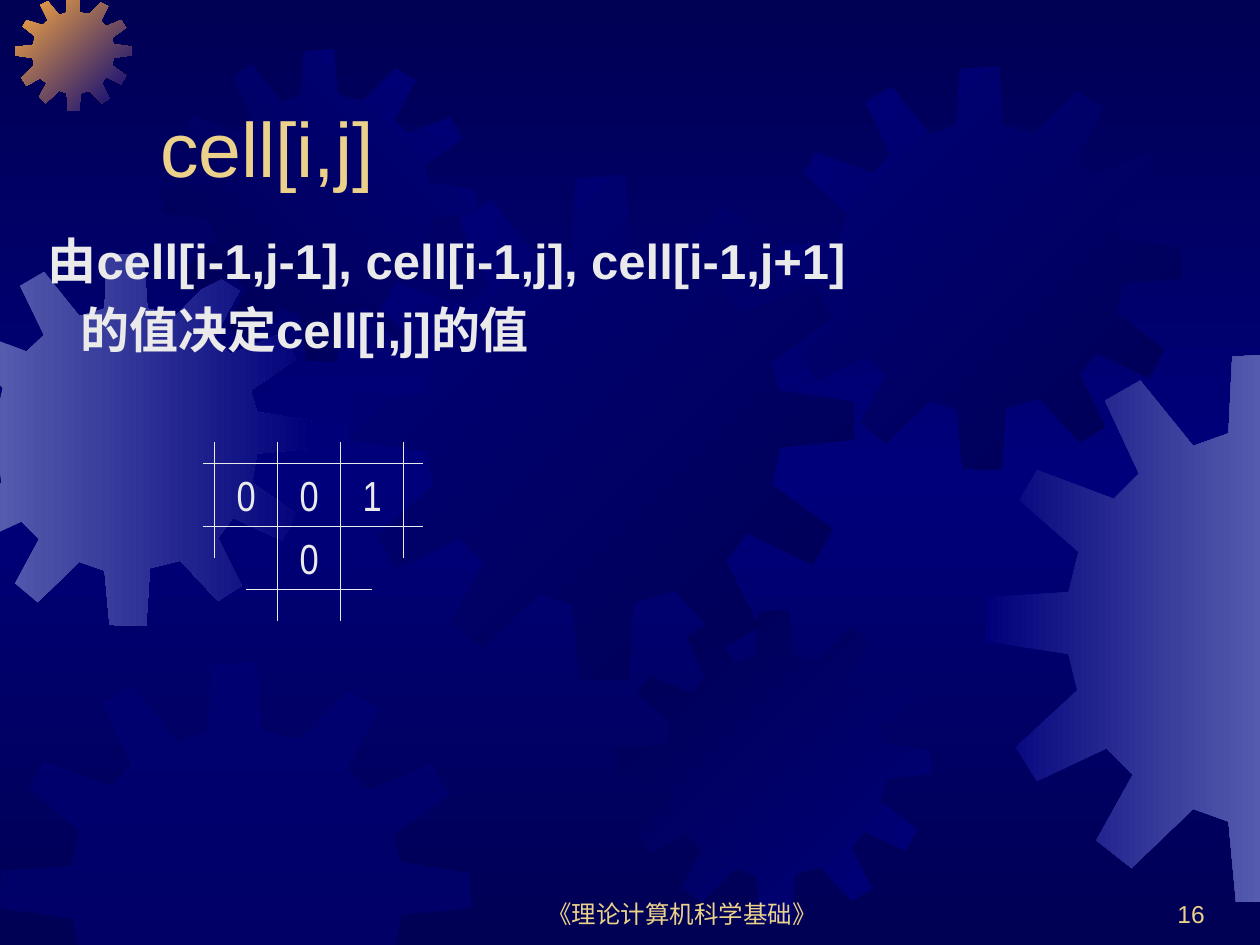
from copy import deepcopy
from lxml.etree import SubElement
from pptx import Presentation
from pptx.dml.color import RGBColor
from pptx.enum.shapes import MSO_CONNECTOR
from pptx.enum.text import MSO_ANCHOR, MSO_AUTO_SIZE, PP_ALIGN
from pptx.oxml.ns import qn
from pptx.util import Emu, Pt

PX = 9144
W, H = 1000, 750
NAVY, BLUE, LILAC, ORANGE = "000054", "00007A", "555BAD", "FCAB40"
GOLD, WHITE = "EBD189", "EAEAEA"

GEAR_SIZE = 401
GEAR = [
    (255, 67), (223, 59), (219, 0), (180, 3), (177, 59), (151, 68),
    (113, 20), (87, 35), (112, 88), (94, 106), (38, 85), (25, 107),
    (68, 145), (61, 174), (1, 178), (0, 210), (61, 219), (67, 246),
    (22, 287), (38, 312), (88, 288), (107, 307), (81, 355), (106, 375),
    (151, 332), (177, 341), (183, 400), (222, 401), (226, 339), (259, 330),
    (299, 374), (325, 358), (299, 306), (316, 284), (368, 309), (384, 281),
    (336, 246), (342, 216), (401, 210), (400, 180), (341, 171), (335, 148),
    (383, 114), (367, 87), (313, 109), (296, 91), (323, 41), (297, 25),
]
GEARS = [
    (-48, 201, 296, LILAC, BLUE, 0),
    (12, -4, 92, ORANGE, BLUE, 45),
    (130, 39, 248, NAVY, BLUE, 315),
    (277, 139, 401, BLUE, NAVY, 45),
    (0, 525, 374, BLUE, None, 0),
    (491, 484, 248, NAVY, BLUE, 45),
    (618, 53, 320, BLUE, NAVY, 45),
    (782, 280, 437, BLUE, LILAC, 0),
]


def px(n):
    return Emu(round(n * PX))


def rgb(c):
    return RGBColor.from_string(c)


def set_gradient(fill, colors, angle):
    fill.gradient()
    fill.gradient_angle = (360 - angle) % 360
    for stop, c in zip(fill.gradient_stops, colors):
        stop.color.rgb = rgb(c)


def add_background(s):
    fill = s.background.fill
    set_gradient(fill, (NAVY, BLUE), 90)
    stops = s.element.find(".//" + qn("a:gsLst"))
    last = deepcopy(stops[0])
    stops[1].set("pos", "50000")
    last.set("pos", "100000")
    stops.append(last)


def clip(points, axis, limit, sign):
    kept = []
    for a, b in zip(points[-1:] + points[:-1], points):
        a_in, b_in = (sign * (p[axis] - limit) >= 0 for p in (a, b))
        if a_in != b_in:
            t = (limit - a[axis]) / (b[axis] - a[axis])
            kept.append(tuple(u + t * (v - u) for u, v in zip(a, b)))
        if b_in:
            kept.append(b)
    return kept


def add_gear(s, x, y, size, start, end, angle):
    k = size / GEAR_SIZE
    points = [(x + k * u, y + k * v) for u, v in GEAR]
    for axis, limit, sign in ((0, 0, 1), (0, W, -1), (1, 0, 1), (1, H, -1)):
        points = clip(points, axis, limit, sign)
    points = [(round(u), round(v)) for u, v in points]
    fb = s.shapes.build_freeform(*points[0], scale=PX)
    fb.add_line_segments(points[1:], close=True)
    sp = fb.convert_to_shape()
    sp.shadow.inherit = False
    sp.line.fill.background()
    if end:
        set_gradient(sp.fill, (start, end), angle)
    else:
        sp.fill.solid()
        sp.fill.fore_color.rgb = rgb(start)
        color = sp.element.spPr.find(".//" + qn("a:srgbClr"))
        SubElement(color, qn("a:alpha")).set("val", "50000")


def add_run(p, text, size, color, font="Arial", bold=False):
    r = p.add_run()
    r.text = text
    r.font.size = Pt(size)
    r.font.name = font
    r.font.bold = bold
    r.font.color.rgb = rgb(color)


def add_box(shapes, x, y, w, h, anchor=MSO_ANCHOR.TOP):
    sp = shapes.add_textbox(px(x), px(y), px(w), px(h))
    tf = sp.text_frame
    tf.word_wrap = True
    tf.vertical_anchor = anchor
    return tf


def add_title(s, x, y, w, h):
    sp = s.shapes.title
    sp.element.getparent().append(sp.element)
    sp.left, sp.top, sp.width, sp.height = px(x), px(y), px(w), px(h)
    tf = sp.text_frame
    tf.auto_size = MSO_AUTO_SIZE.NONE
    tf.vertical_anchor = MSO_ANCHOR.BOTTOM
    p = tf.paragraphs[0]
    p.alignment = PP_ALIGN.LEFT
    add_run(p, "cell[i,j]", 44, GOLD)


def add_body(s, x, y, w, h):
    tf = add_box(s.shapes, x, y, w, h)
    add_run(tf.paragraphs[0], "由cell[i-1,j-1], cell[i-1,j], cell[i-1,j+1]",
            28, WHITE, bold=True)
    p = tf.add_paragraph()
    p.space_before = Pt(5.6)
    pPr = p._p.get_or_add_pPr()
    pPr.set("marL", str(px(26)))
    pPr.set("indent", "0")
    add_run(p, "的值决定cell[i,j]的值", 28, WHITE, bold=True)


def add_line(shapes, x1, y1, x2, y2):
    ln = shapes.add_connector(MSO_CONNECTOR.STRAIGHT,
                              px(x1), px(y1), px(x2), px(y2))
    ln.line.color.rgb = rgb(WHITE)
    ln.line.width = Pt(0.75)
    SubElement(ln.element.spPr, qn("a:effectLst"))


def add_cells(s, x, y, cell):
    shapes = s.shapes.add_group_shape().shapes
    for col, bottom in enumerate((75, 125, 125, 75)):
        add_line(shapes, x + col * cell, y - 17, x + col * cell, y + bottom)
    for row, (left, right) in enumerate(((-9, 166), (-9, 166), (25, 125))):
        add_line(shapes, x + left, y + row * cell, x + right, y + row * cell)
    for col, row, value in ((0, 0, "0"), (1, 0, "0"), (1, 1, "0"), (2, 0, "1")):
        tf = add_box(shapes, x + col * cell + 8, y + row * cell, cell - 8, cell)
        add_run(tf.paragraphs[0], value, 24, WHITE, "Arial Narrow")


def add_footer(s, x, w, text, align):
    tf = add_box(s.shapes, x, 692, w, 50, MSO_ANCHOR.BOTTOM)
    p = tf.paragraphs[0]
    p.alignment = align
    add_run(p, text, 14, GOLD)


def main():
    prs = Presentation()
    prs.slide_width, prs.slide_height = px(W), px(H)
    s = prs.slides.add_slide(prs.slide_layouts[5])
    add_background(s)
    for gear in GEARS:
        add_gear(s, *gear)
    add_footer(s, 383, 317, "《理论计算机科学基础》", PP_ALIGN.CENTER)
    add_footer(s, 758, 208, "16", PP_ALIGN.RIGHT)
    add_title(s, 117, 33, 850, 125)
    add_body(s, 28, 178, 850, 175)
    add_cells(s, 170, 368, 50)
    prs.save("out.pptx")


if __name__ == "__main__":
    main()
